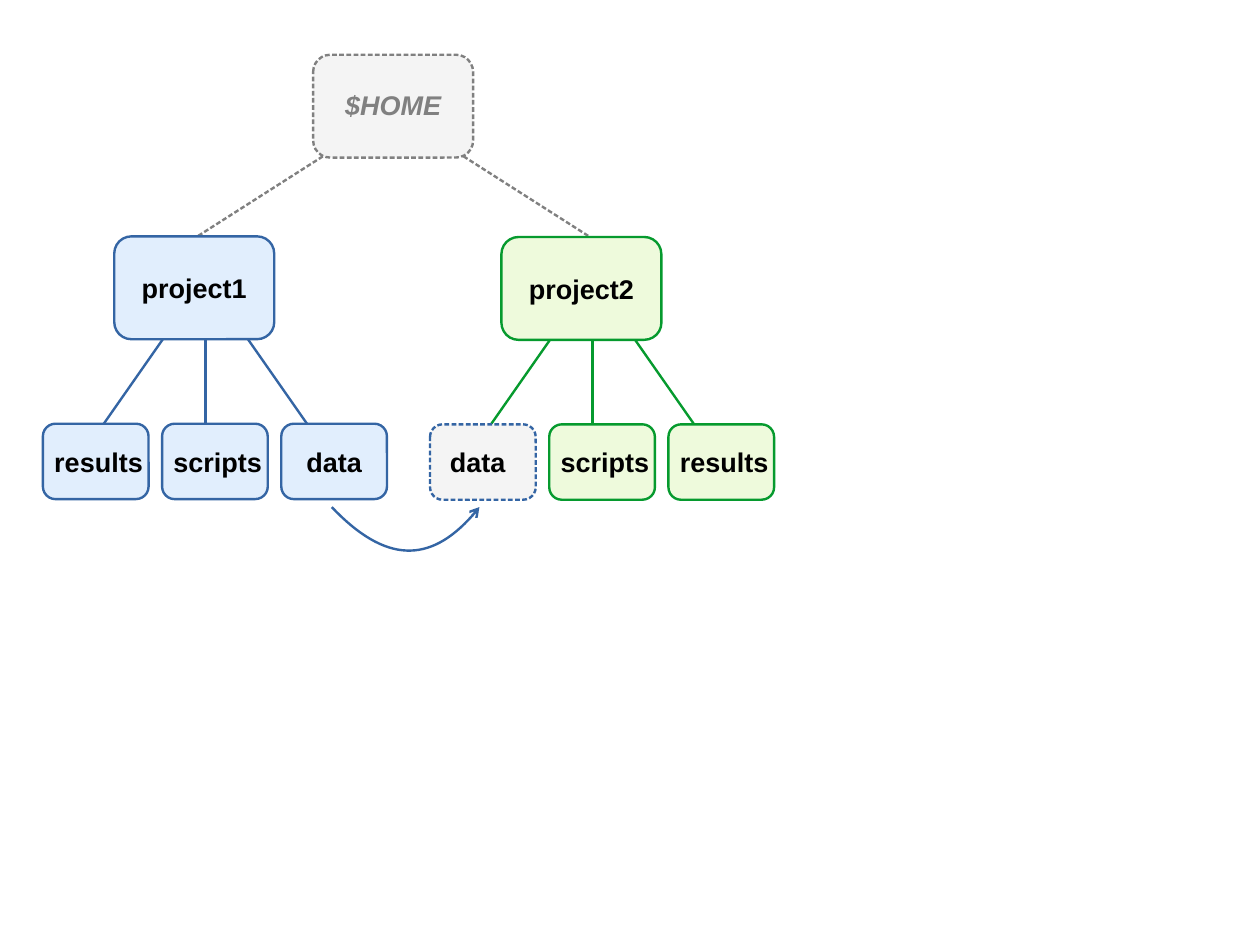
from dataclasses import dataclass
from lxml.etree import SubElement
from pptx import Presentation
from pptx.dml.color import RGBColor as Color
from pptx.enum.shapes import MSO_CONNECTOR as Connector, MSO_SHAPE as Preset
from pptx.enum.text import MSO_ANCHOR as Anchor, PP_ALIGN as Align
from pptx.oxml.ns import qn
from pptx.util import Pt


@dataclass(frozen=True)
class Theme:
    font: str = "Arial"
    size: float = 17
    line: float = 1.5
    black: str = "000000"
    gray: str = "808080"
    pale_gray: str = "F4F4F4"
    blue: str = "3465A4"
    pale_blue: str = "E1EEFD"
    green: str = "069A2E"
    pale_green: str = "EEFADC"


@dataclass(frozen=True)
class Box:
    left: float
    top: float
    width: float
    height: float

    @property
    def center(self):
        return self.left + self.width / 2

    @property
    def bottom(self):
        return self.top + self.height


THEME = Theme()
FOLDER = (100.8, 64.8)
LEAF = (66.6, 47.5)
LEAF_PITCH = 75.1


def set_all(target, values):
    for name, value in values.items():
        setattr(target, name, value)


def style_line(shape, color, dashed=False):
    shape.line.width = Pt(THEME.line)
    shape.line.color.rgb = Color.from_string(color)
    outline = shape.element.spPr.find(qn("a:ln"))
    if dashed:
        pattern = SubElement(outline, qn("a:custDash"))
        SubElement(pattern, qn("a:ds"), d="200000", sp="100000")
    return outline


def draw_folder(page, box, name, fill, line, ink=THEME.black,
                dashed=False, italic=False, nudge=0, lift=0):
    """Draw a labelled rounded box; nudge and lift move the label."""
    shape = page.shapes.add_shape(
        Preset.ROUNDED_RECTANGLE,
        *map(Pt, (box.left, box.top, box.width, box.height)))
    shape.shadow.inherit = False
    shape.fill.solid()
    shape.fill.fore_color.rgb = Color.from_string(fill)
    style_line(shape, line, dashed)
    frame = shape.text_frame
    set_all(frame, {
        "word_wrap": False, "vertical_anchor": Anchor.MIDDLE,
        "margin_left": Pt(max(2 * nudge, 0)),
        "margin_right": Pt(max(-2 * nudge, 0)),
        "margin_top": 0, "margin_bottom": Pt(2 * lift)})
    para = frame.paragraphs[0]
    para.alignment = Align.CENTER
    span = para.add_run()
    span.text = name
    set_all(span.font, {"name": THEME.font, "size": Pt(THEME.size),
                        "bold": True, "italic": italic})
    span.font.color.rgb = Color.from_string(ink)


def draw_branch(page, start, end, color, dashed=False):
    branch = page.shapes.add_connector(
        Connector.STRAIGHT, *map(Pt, (*start, *end)))
    style_line(branch, color, dashed)
    SubElement(branch.element.spPr, qn("a:effectLst"))


def draw_home(page, box, children_top):
    draw_folder(page, box, "$HOME", THEME.pale_gray, THEME.gray,
                ink=THEME.gray, dashed=True, italic=True, lift=1.2)
    for side in (-1, 1):
        draw_branch(page, (box.center + side * 44.3, box.bottom - 0.8),
                    (box.center + side * 123.5, children_top),
                    THEME.gray, dashed=True)


def draw_project(page, box, name, leaves, fill, line):
    """Draw a project folder with its row of subfolders below."""
    draw_folder(page, box, name, fill, line)
    leaf_top = box.top + 118
    for index, (leaf_name, nudge, linked) in enumerate(leaves):
        side = index - 1
        leaf = Box(box.left - 45 + index * LEAF_PITCH, leaf_top, *LEAF)
        middle = box.left + 57.4
        draw_branch(page, (middle + side * 26.8, box.bottom),
                    (middle + side * 64, leaf_top), line)
        draw_folder(page, leaf, leaf_name,
                    THEME.pale_gray if linked else fill,
                    THEME.blue if linked else line,
                    dashed=linked, nudge=nudge)


def draw_link_arrow(page, box, dip):
    """Draw a curve along the box top that sags to its bottom at x = dip."""
    left, top, width, height, low = map(
        Pt, (box.left, box.top, box.width, box.height, dip))
    builder = page.shapes.build_freeform(left, top)
    builder.add_line_segments(
        [(left + low, top + height), (left + width, top)], close=False)
    arrow = builder.convert_to_shape()
    arrow.shadow.inherit = False
    arrow.fill.background()

    path = next(arrow.element.iter(qn("a:path")))
    for segment in path.findall(qn("a:lnTo")):
        path.remove(segment)
    curve = SubElement(path, qn("a:quadBezTo"))
    for x, y in ((2 * low - width // 2, 2 * height), (width, 0)):
        SubElement(curve, qn("a:pt"), x=str(x), y=str(y))

    outline = style_line(arrow, THEME.blue)
    SubElement(outline, qn("a:tailEnd"), type="arrow")


def main():
    deck = Presentation()
    set_all(deck, {"slide_width": Pt(793.75), "slide_height": Pt(595.25)})
    page = deck.slides.add_slide(deck.slide_layouts[6])
    draw_home(page, Box(197.3, 34.5, *FOLDER), 149)
    draw_project(page, Box(72, 148.9, *FOLDER), "project1",
                 [("results", 1.8, False), ("scripts", 1.8, False),
                  ("data", 0, False)],
                 THEME.pale_blue, THEME.blue)
    draw_project(page, Box(315.9, 149.3, *FOLDER), "project2",
                 [("data", -3.2, True), ("scripts", 1.8, False),
                  ("results", 1.8, False)],
                 THEME.pale_green, THEME.green)
    draw_link_arrow(page, Box(209, 319.4, 93, 26.8), 48.7)
    deck.save("out.pptx")


if __name__ == "__main__":
    main()
